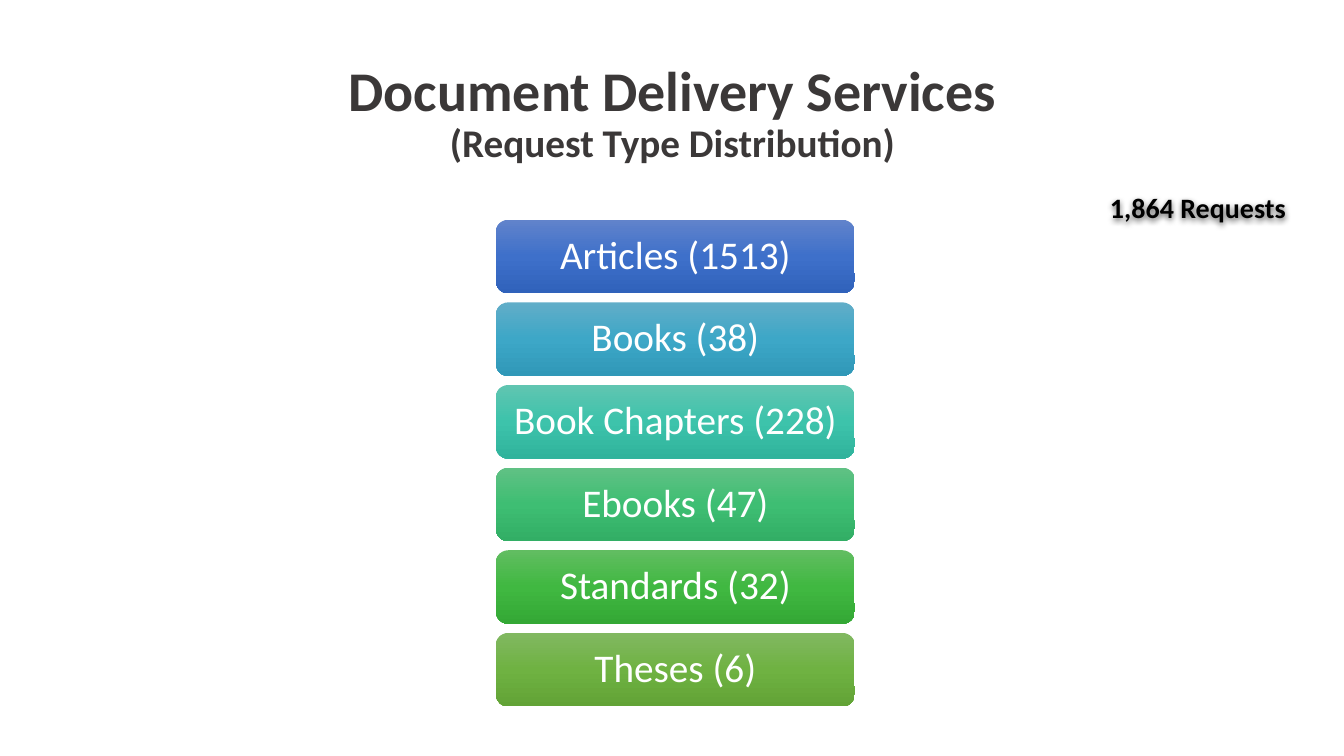
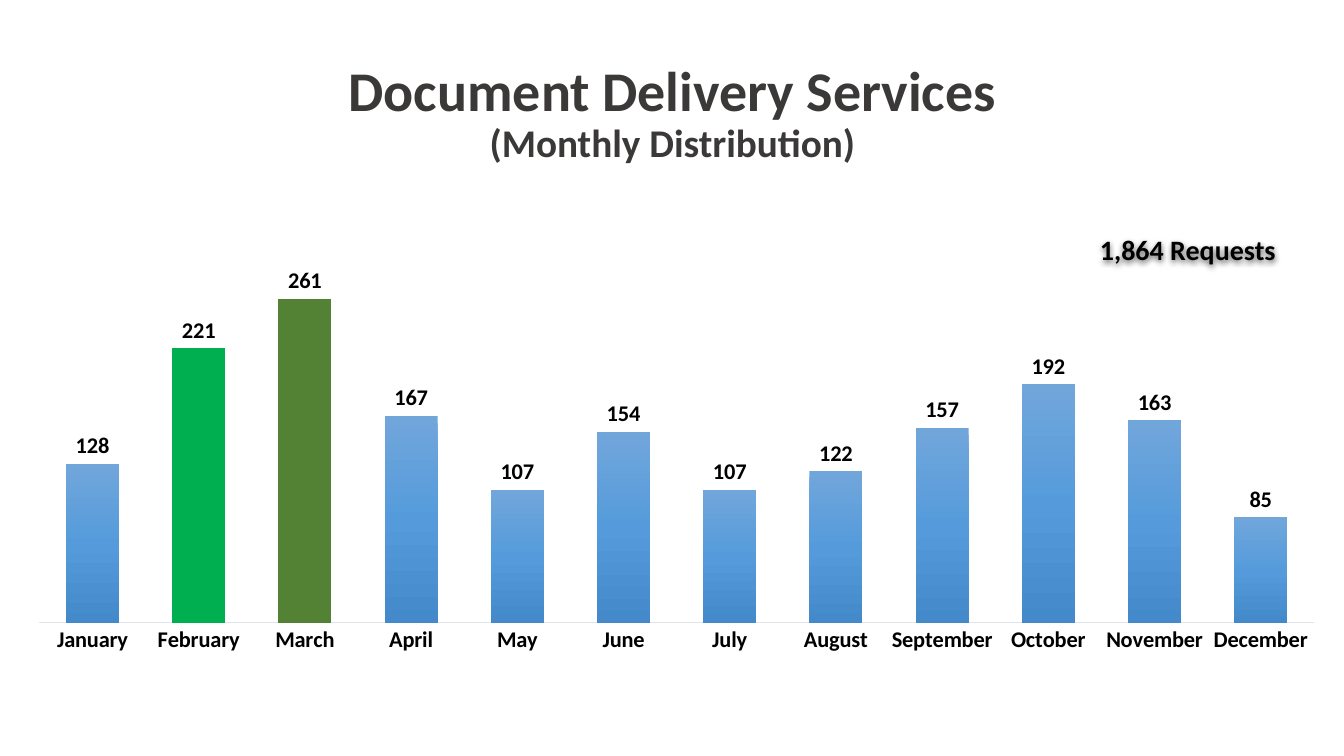
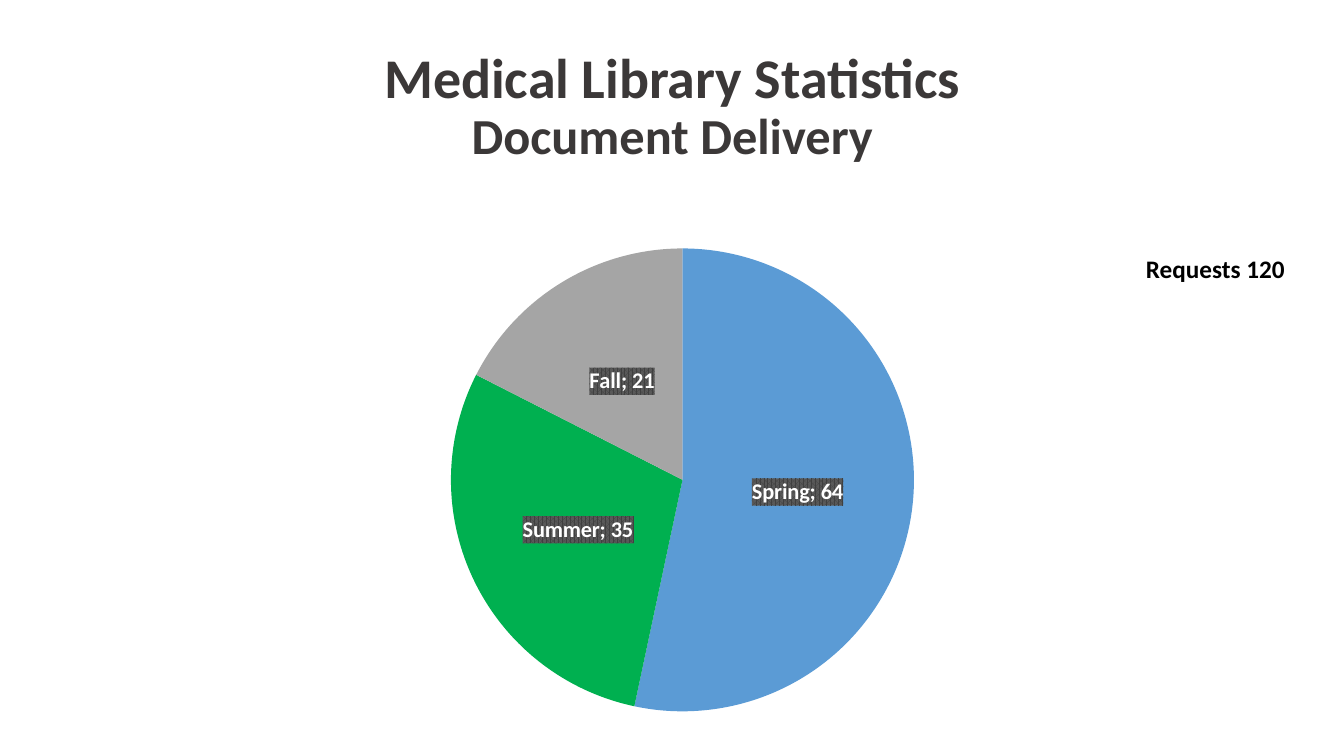
import lxml.etree
import pptx
import pptx.chart.data
import pptx.dml.color
import pptx.enum.chart
import pptx.enum.shapes
import pptx.enum.text
import pptx.oxml
import pptx.oxml.ns
import pptx.util

WIDTH, HEIGHT = 13.33, 7.5
FONT = "Calibri"
BLACK, WHITE, TITLE_COLOR = "000000", "FFFFFF", "3B3838"
GREEN = "00B050"
CENTER = pptx.enum.text.PP_ALIGN.CENTER
MIDDLE = pptx.enum.text.MSO_ANCHOR.MIDDLE
ROUNDED = pptx.enum.shapes.MSO_SHAPE.ROUNDED_RECTANGLE
LABEL = pptx.enum.chart.XL_LABEL_POSITION
CHART = pptx.enum.chart.XL_CHART_TYPE

REQUEST_TYPES = [
    ("Articles (1513)", ("6183CB", "3E70CA", "3062BB")),
    ("Books (38)", ("61ADC8", "3DA7C7", "3098B8")),
    ("Book Chapters (228)", ("60C5B1", "3DC3AB", "30B39C")),
    ("Ebooks (47)", ("60C184", "3EBE73", "32AE65")),
    ("Standards (32)", ("61BD61", "40B841", "34A835")),
    ("Theses (6)", ("81B861", "6FB242", "62A336")),
]
MONTHS = {
    "January": 128, "February": 221, "March": 261, "April": 167,
    "May": 107, "June": 154, "July": 107, "August": 122,
    "September": 157, "October": 192, "November": 163, "December": 85,
}
SEASONS = {"Spring": 64, "Summer": 35, "Fall": 21}


def rgb(color):
    return pptx.dml.color.RGBColor.from_string(color)


def apply(obj, values):
    for name, value in values.items():
        setattr(obj, name, value)


def style(font, size, color, bold=True):
    apply(font, {"name": FONT, "size": pptx.util.Pt(size), "bold": bold})
    font.color.rgb = rgb(color)


def cells(column, row, columns, rows):
    x, y = WIDTH / 100, HEIGHT / 100
    return [pptx.util.Inches(v) for v in (column * x, row * y, columns * x, rows * y)]


def xml(text):
    return pptx.oxml.parse_xml(text.replace(">", " " + pptx.oxml.ns.nsdecls("a", "c") + ">", 1))


def gradient(fill, props, colors):
    fill.gradient()
    fill.gradient_angle = 270
    stops = props.find(".//" + pptx.oxml.ns.qn("a:gsLst"))
    for stop in list(stops):
        stops.remove(stop)
    for i, color in enumerate(colors):
        stops.append(xml(f'<a:gs pos="{i * 50000}"><a:srgbClr val="{color}"/></a:gs>'))


def write(sp, runs, color, bold=True, align=CENTER, anchor=MIDDLE, spacing=1.0):
    tf = sp.text_frame
    apply(tf, {"word_wrap": True, "vertical_anchor": anchor})
    p = tf.paragraphs[0]
    apply(p, {"alignment": align, "line_spacing": spacing})
    for i, (text, size) in enumerate(runs):
        if i:
            p.add_line_break()
        r = p.add_run()
        r.text = text
        style(r.font, size, color, bold)


def add_title(s, heading, subtitle, size, row=5.47):
    sp = s.shapes.add_textbox(*cells(6.9, row, 86.25, 24.8 - row))
    write(sp, [(heading, 40), (subtitle, size)], TITLE_COLOR, spacing=0.9)


def add_rounded(s, place):
    sp = s.shapes.add_shape(ROUNDED, *cells(*place))
    sp.shadow.inherit = False
    sp.line.fill.background()
    return sp


def add_request_type(s, index, text, colors):
    sp = add_rounded(s, (36.9, 29.07 + index * 10.93, 26.7, 9.73))
    gradient(sp.fill, sp._element.spPr, colors)
    write(sp, [(text, 28)], WHITE, bold=False, spacing=0.9)


def add_total(s, column, row):
    sp = add_rounded(s, (column, row, 15.23, 6.8))
    sp.fill.background()
    effects = sp._element.spPr.find(pptx.oxml.ns.qn("a:effectLst"))
    effects.append(xml(
        '<a:outerShdw blurRad="57150" dist="19050" dir="5400000" algn="ctr" rotWithShape="0">'
        '<a:srgbClr val="000000"><a:alpha val="63000"/></a:srgbClr></a:outerShdw>'))
    write(sp, [("1,864 Requests", 20)], BLACK)


def add_chart(s, kind, place, values, layout, label_color, labels):
    data = pptx.chart.data.CategoryChartData()
    data.categories = list(values)
    data.add_series("Series 1", list(values.values()))
    chart = s.shapes.add_chart(kind, *cells(*place), data).chart
    apply(chart, {"has_title": False, "has_legend": False})
    style(chart.font, 10, BLACK, False)
    area = chart._chartSpace.chart.plotArea
    for old in area.findall(pptx.oxml.ns.qn("c:layout")):
        area.remove(old)
    parts = "".join(f'<c:{k} val="{v}"/>' for k, v in zip("xywh", layout))
    area.insert(0, xml(
        '<c:layout><c:manualLayout><c:layoutTarget val="inner"/>'
        f'<c:xMode val="edge"/><c:yMode val="edge"/>{parts}</c:manualLayout></c:layout>'))
    plot = chart.plots[0]
    apply(plot, {"vary_by_categories": False, "has_data_labels": True})
    style(plot.data_labels.font, 16, label_color)
    apply(plot.data_labels, labels)
    return chart


def color_points(series, colors):
    for index, color in colors.items():
        fill = series.points[index].format.fill
        fill.solid()
        fill.fore_color.rgb = rgb(color)


def add_month_chart(s):
    chart = add_chart(s, CHART.COLUMN_CLUSTERED, (0, 29.6, 97.8, 70.4), MONTHS,
                      (0.03, 0.05, 0.97, 0.7), BLACK,
                      {"show_value": True, "position": LABEL.OUTSIDE_END})
    apply(chart.plots[0], {"gap_width": 100, "overlap": -24})
    apply(chart.value_axis, {"visible": False, "has_major_gridlines": False,
                             "minimum_scale": 0, "maximum_scale": 300})
    axis = chart.category_axis
    axis.major_tick_mark = pptx.enum.chart.XL_TICK_MARK.NONE
    style(axis.tick_labels.font, 16, BLACK)
    axis.format.line.width = pptx.util.Pt(0.75)
    axis.format.line.color.rgb = rgb("E0E5EB")
    series = chart.plots[0].series[0]
    fill = series.format.fill
    gradient(fill, series._element.find(pptx.oxml.ns.qn("c:spPr")),
             ("71A6DB", "559BDB", "448ACA"))
    color_points(series, {1: GREEN, 2: "548235"})


def add_season_chart(s):
    chart = add_chart(s, CHART.PIE, (18.23, 30.93, 65.1, 64.8), SEASONS,
                      (0.235, 0.03, 0.53, 0.945), WHITE,
                      {"show_value": True, "show_category_name": True,
                       "show_percentage": False, "position": LABEL.CENTER})
    color_points(chart.plots[0].series[0], {0: "5B9BD5", 1: GREEN, 2: "A5A5A5"})
    labels = chart.plots[0].data_labels._element
    labels.find(pptx.oxml.ns.qn("c:txPr")).addprevious(xml(
        '<c:spPr><a:pattFill prst="pct75"><a:fgClr><a:srgbClr val="404040"/></a:fgClr>'
        '<a:bgClr><a:srgbClr val="595959"/></a:bgClr></a:pattFill></c:spPr>'))
    labels.find(pptx.oxml.ns.qn("c:showBubbleSize")).addnext(xml("<c:separator>; </c:separator>"))


def main():
    prs = pptx.Presentation()
    apply(prs, {"slide_width": pptx.util.Inches(WIDTH), "slide_height": pptx.util.Inches(HEIGHT)})
    types, months, seasons = [prs.slides.add_slide(prs.slide_layouts[6]) for _ in range(3)]

    add_title(types, "Document Delivery Services", "(Request Type Distribution)", 28)
    for index, (text, colors) in enumerate(REQUEST_TYPES):
        add_request_type(types, index, text, colors)
    add_total(types, 81.52, 24)

    add_title(months, "Document Delivery Services", "(Monthly Distribution)", 28)
    add_month_chart(months)
    add_total(months, 80.77, 29.6)

    add_title(seasons, "Medical Library Statistics", "Document Delivery", 36, row=3.73)
    sp = seasons.shapes.add_textbox(*cells(84.52, 32.8, 15.48, 5.33))
    write(sp, [("Requests 120", 18)], BLACK, align=pptx.enum.text.PP_ALIGN.LEFT,
          anchor=pptx.enum.text.MSO_ANCHOR.TOP)
    add_season_chart(seasons)
    prs.save("out.pptx")


if __name__ == "__main__":
    main()
